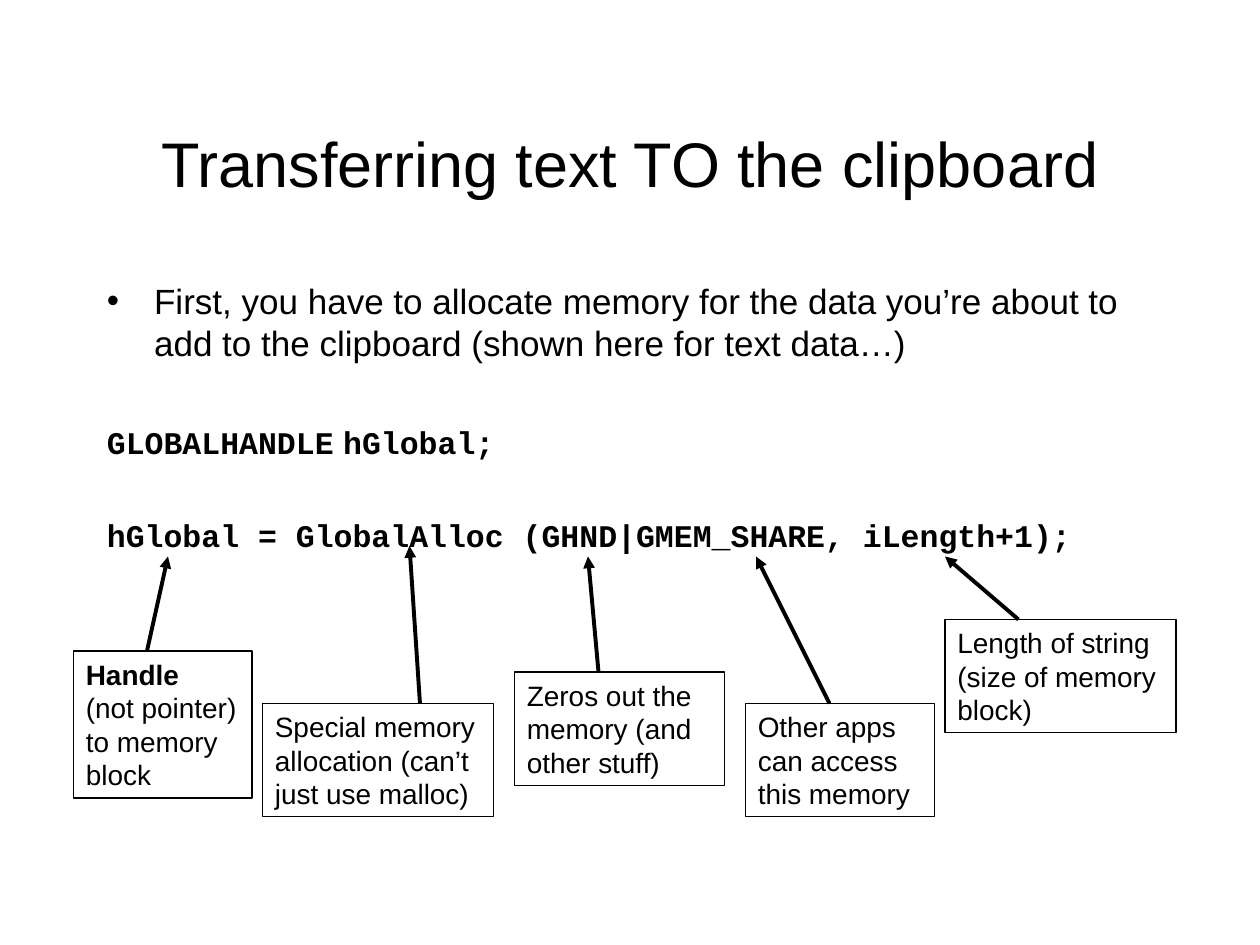
from lxml import etree
from pptx import Presentation
from pptx.dml.color import RGBColor
from pptx.enum import shapes, text
from pptx.oxml.ns import qn
from pptx.util import Pt

BLACK = "000000"


def color(value):
    return RGBColor.from_string(value)


def add_run(p, content, size, font="Arial", bold=False):
    r = p.add_run()
    r.text = content
    r.font.size, r.font.name, r.font.bold = Pt(size), font, bold
    r.font.color.rgb = color(BLACK)


def set_frame(tf, anchor=text.MSO_ANCHOR.TOP):
    tf.word_wrap = True
    tf.auto_size = text.MSO_AUTO_SIZE.NONE
    tf.vertical_anchor = anchor
    tf.margin_left = tf.margin_right = Pt(7.2)
    tf.margin_top = tf.margin_bottom = Pt(3.6)


def add_title(s, box, content):
    sp = s.shapes.title
    sp.left, sp.top, sp.width, sp.height = map(Pt, box)
    set_frame(sp.text_frame, text.MSO_ANCHOR.MIDDLE)
    p = sp.text_frame.paragraphs[0]
    p.alignment = text.PP_ALIGN.CENTER
    add_run(p, content, 36)


def add_body(s, box, bullet, code_lines):
    tf = s.shapes.add_textbox(*map(Pt, box)).text_frame
    set_frame(tf)

    # Bullet with hanging indent
    p = tf.paragraphs[0]
    pPr = p._p.get_or_add_pPr()
    pPr.set("marL", str(Pt(27)))
    pPr.set("indent", str(-Pt(27)))
    etree.SubElement(pPr, qn("a:buFont")).set("typeface", "Arial")
    etree.SubElement(pPr, qn("a:buChar")).set("char", "•")
    add_run(p, bullet, 20)

    # Code lines, with a tab stop between type and name
    for line, gap in code_lines:
        p = tf.add_paragraph()
        p.space_before = Pt(gap)
        pPr = p._p.get_or_add_pPr()
        pPr.set("marL", str(Pt(27)))
        pPr.set("indent", str(-Pt(27)))
        tabs = etree.SubElement(pPr, qn("a:tabLst"))
        etree.SubElement(tabs, qn("a:tab"), pos=str(Pt(144)), algn="l")
        add_run(p, line, 18, "Courier New", True)


def add_arrow(s, start, tip):
    line = s.shapes.add_connector(shapes.MSO_CONNECTOR.STRAIGHT,
                                  *map(Pt, start + tip))
    line.line.color.rgb = color(BLACK)
    line.line.width = Pt(2.25)
    etree.SubElement(line.line._get_or_add_ln(), qn("a:tailEnd"), type="triangle")
    etree.SubElement(line._element.spPr, qn("a:effectLst"))


def add_callout(s, box, paragraphs, start_x, tip):
    sp = s.shapes.add_shape(shapes.MSO_SHAPE.RECTANGLE, *map(Pt, box))
    sp.shadow.inherit = False
    sp.fill.background()
    sp.line.color.rgb = color(BLACK)
    sp.line.width = Pt(0.75)
    tf = sp.text_frame
    set_frame(tf)
    for i, (content, bold) in enumerate(paragraphs):
        p = tf.add_paragraph() if i else tf.paragraphs[0]
        p.alignment = text.PP_ALIGN.LEFT
        add_run(p, content, 16, bold=bold)
    add_arrow(s, (start_x, box[1]), tip)


# Box, paragraphs (text, bold), arrow start on the top edge, arrow tip
CALLOUTS = [
    ((42, 372, 102, 84),
     [("Handle", True), ("(not pointer) to memory block", False)], 84, (96, 318)),
    ((150, 402, 132, 64.8),
     [("Special memory allocation (can’t just use malloc)", False)], 240, (234, 312)),
    ((294, 384, 120, 64.8),
     [("Zeros out the memory (and other stuff)", False)], 342, (336, 318)),
    ((426, 402, 108, 64.8),
     [("Other apps can access this memory", False)], 474, (432, 318)),
    ((540, 354, 132, 64.8),
     [("Length of string (size of memory block)", False)], 582, (540, 318)),
]


def main():
    prs = Presentation()
    prs.slide_width, prs.slide_height = Pt(720), Pt(540)
    s = prs.slides.add_slide(prs.slide_layouts[5])
    add_title(s, (54, 48, 612, 90), "Transferring text TO the clipboard")
    add_body(s, (54, 156, 612, 324),
             "First, you have to allocate memory for the data you’re about to "
             "add to the clipboard (shown here for text data…)",
             [("GLOBALHANDLE\thGlobal;", 34),
              ("hGlobal = GlobalAlloc (GHND|GMEM_SHARE, iLength+1);", 32)])
    for callout in CALLOUTS:
        add_callout(s, *callout)
    prs.save("out.pptx")


if __name__ == "__main__":
    main()
